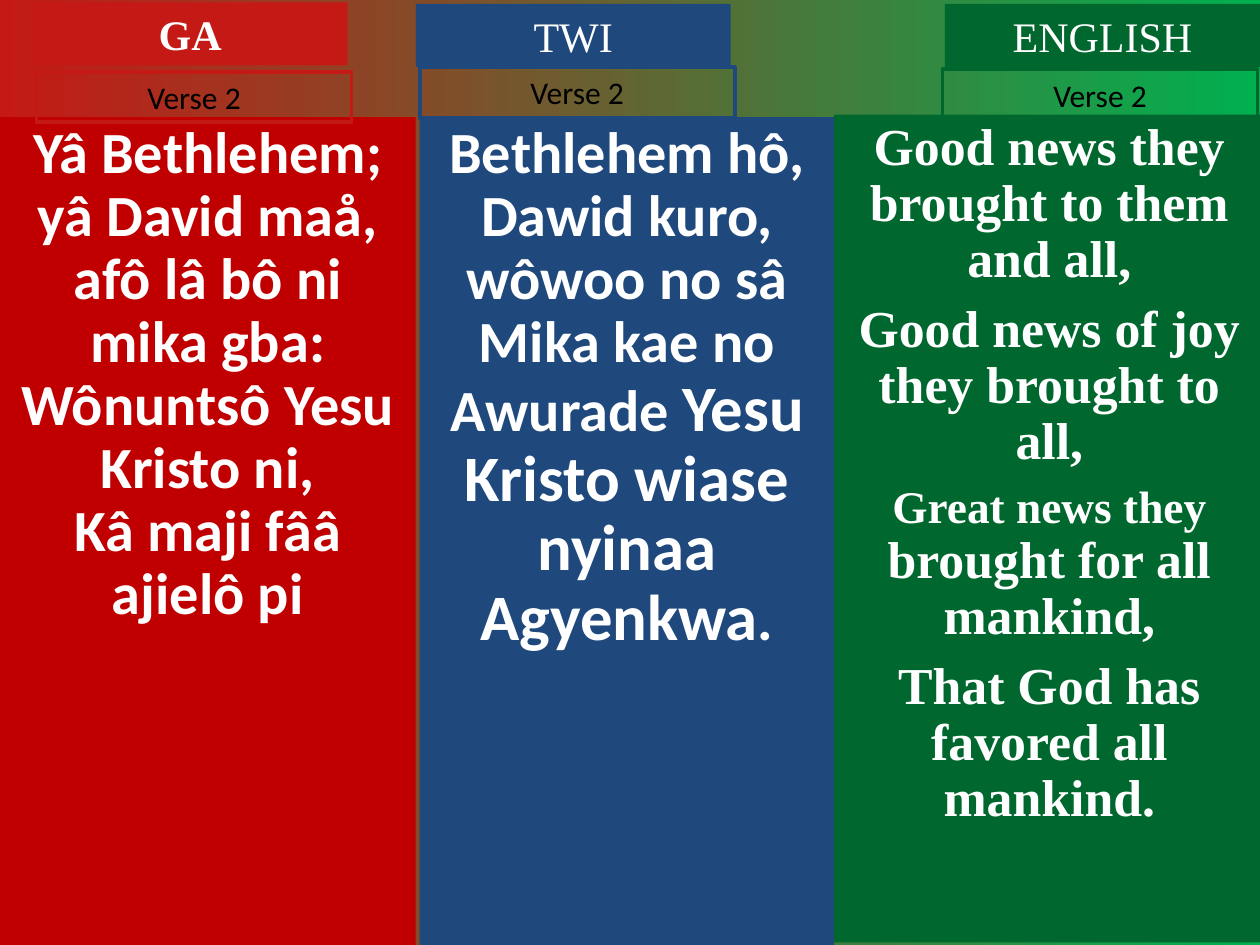
"""Build a hymn verse slide in Ga, Twi and English, one column per language."""
from pptx import Presentation
from pptx.dml.color import RGBColor
from pptx.enum import shapes, text
from pptx.util import Pt


def rgb(value):
    return RGBColor.from_string(value)


def add_box(s, box, paras, font, fill=None, line=None, spacing=1, gap=0,
            anchor=text.MSO_ANCHOR.TOP):
    sp = s.shapes.add_shape(shapes.MSO_SHAPE.RECTANGLE, *map(Pt, box))
    sp.shadow.inherit = False
    if fill:
        sp.fill.solid()
        sp.fill.fore_color.rgb = rgb(fill)
    else:
        sp.fill.background()
    if line:
        sp.line.color.rgb = rgb(line)
        sp.line.width = Pt(2.25)
    else:
        sp.line.fill.background()
    tf = sp.text_frame
    frame = {"word_wrap": True, "vertical_anchor": anchor,
             "margin_left": Pt(7.2), "margin_right": Pt(7.2),
             "margin_top": Pt(3.6), "margin_bottom": Pt(3.6)}
    for key, value in frame.items():
        setattr(tf, key, value)
    for i, runs in enumerate(paras):
        p = tf.paragraphs[0] if i == 0 else tf.add_paragraph()
        form = {"alignment": text.PP_ALIGN.CENTER, "line_spacing": spacing,
                "space_before": Pt(gap if i else 0)}
        for key, value in form.items():
            setattr(p, key, value)
        for words, size in runs:
            r = p.add_run()
            r.text = words
            style = {"name": font["name"], "bold": font["bold"], "size": Pt(size)}
            for key, value in style.items():
                setattr(r.font, key, value)
            r.font.color.rgb = rgb(font["color"])


prs = Presentation()
prs.slide_width, prs.slide_height = Pt(720), Pt(540)
s = prs.slides.add_slide(prs.slide_layouts[6])

bg = s.background.fill
bg.gradient()
bg.gradient_angle = 0
for stop, color, position in zip(bg.gradient_stops, ("C51915", "00B050"), (0, 1)):
    stop.color.rgb = rgb(color)
    stop.position = position

ga = [[("Yâ Bethlehem; yâ David maå, afô lâ bô ni mika gba:", 33.3)],
      [("Wônuntsô Yesu Kristo ni,", 33.3)],
      [("Kâ maji fââ ajielô pi", 33.3)]]
twi = [[("Bethlehem hô, Dawid kuro, wôwoo no sâ Mika kae no Awurade ", 33.3),
        ("Yesu Kristo wiase nyinaa Agyenkwa", 37), (".", 33.3)]]
english = [[("Good news they brought to them and all,", 29.6)],
           [("Good news of joy they brought to all,", 29.6)],
           [("Great news they ", 25.9), ("brought for all mankind,", 29.6)],
           [("That God has favored all mankind.", 29.6)]]

columns = [
    ("GA", True, "C51915", "C00000", (18.7, 1.4), (20.9, 41), (0, 67, 237.6, 473), "Calibri", ga),
    ("TWI", False, "1F497D", "1F497D", (237.6, 2.2), (239.8, 38.2), (239.8, 67, 236.9, 473),
     "Calibri", twi),
    ("ENGLISH", False, "00682F", "00682F", (540, 2.2), (538.6, 39.6), (476.6, 65.5, 246.2, 473),
     "Times New Roman", english),
]
for name, bold, accent, fill, head, label, body, face, verse in columns:
    add_box(s, body, verse, {"name": face, "bold": True, "color": "FFFFFF"},
            fill=fill, spacing=0.9, gap=8 if name == "ENGLISH" else 0)
    add_box(s, (*head, 180, 36), [[(name, 24)]],
            {"name": "Times New Roman", "bold": bold, "color": "FFFFFF"}, fill=accent)
    add_box(s, (*label, 180, 29), [[("Verse 2", 18)]],
            {"name": "Calibri", "bold": False, "color": "000000"}, line=accent)

prs.save("out.pptx")
